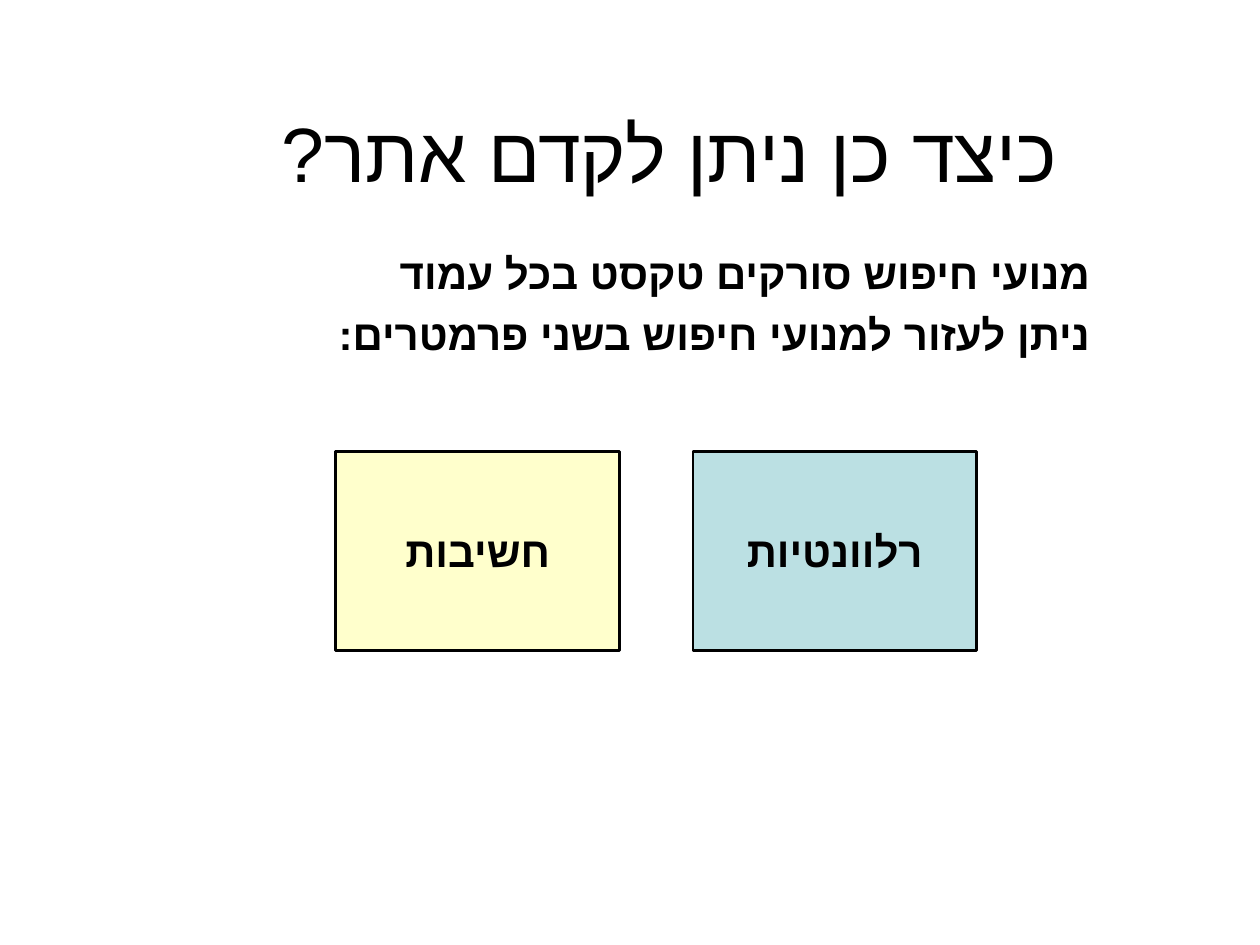
from lxml.etree import SubElement
from pptx import Presentation
from pptx.dml.color import RGBColor as RGB
from pptx.enum.shapes import MSO_SHAPE as Shape
from pptx.enum.text import MSO_ANCHOR as Anchor, PP_ALIGN as Align
from pptx.oxml.ns import qn
from pptx.util import Cm, Pt

FONT = "Arial"
COLORS = {"ink": "000000", "relevance": "BBE0E3", "importance": "FFFFCC"}

TITLE = "כיצד כן ניתן לקדם אתר?"
STATEMENTS = [
    "מנועי חיפוש סורקים טקסט בכל עמוד",
    "ניתן לעזור למנועי חיפוש בשני פרמטרים:",
]
PARAMETERS = [("importance", "חשיבות"), ("relevance", "רלוונטיות")]

BOX_LEFT, BOX_TOP = 6.77, 9.1
BOX_WIDTH, BOX_HEIGHT = 5.72, 4.02
BOX_STEP = 7.2


def color(name):
    return RGB.from_string(COLORS[name])


def write(shape, lines, size, bold, align, anchor, wrap=True):
    frame = shape.text_frame
    frame.text = "\n".join(lines)
    frame.word_wrap = wrap
    frame.vertical_anchor = anchor
    for index, paragraph in enumerate(frame.paragraphs):
        paragraph.alignment = align
        paragraph._p.get_or_add_pPr().set("rtl", "1")
        if index:
            paragraph.space_before = Pt(6)
        for run in paragraph.runs:
            run.font.size = Pt(size)
            run.font.bold = bold
            run.font.color.rgb = color("ink")
            run.font.name = FONT
            SubElement(run._r.get_or_add_rPr(), qn("a:cs"), typeface=FONT)


deck = Presentation()
deck.slide_width, deck.slide_height = Cm(25.4), Cm(19.05)
slide = deck.slides.add_slide(deck.slide_layouts[6])

title = slide.shapes.add_textbox(Cm(3.6), Cm(1.9), Cm(17.99), Cm(2.33))
write(title, [TITLE], 44, False, Align.RIGHT, Anchor.MIDDLE)

body = slide.shapes.add_textbox(Cm(4.45), Cm(4.87), Cm(17.78), Cm(1.9))
write(body, STATEMENTS, 24, True, Align.RIGHT, Anchor.TOP)

for column, (fill, label) in enumerate(PARAMETERS):
    box = slide.shapes.add_shape(
        Shape.RECTANGLE, Cm(BOX_LEFT + column * BOX_STEP), Cm(BOX_TOP),
        Cm(BOX_WIDTH), Cm(BOX_HEIGHT))
    box.shadow.inherit = False
    box.fill.solid()
    box.fill.fore_color.rgb = color(fill)
    box.line.color.rgb = color("ink")
    box.line.width = Pt(1.5)
    write(box, [label], 24, True, Align.CENTER, Anchor.MIDDLE, wrap=False)

deck.save("out.pptx")
